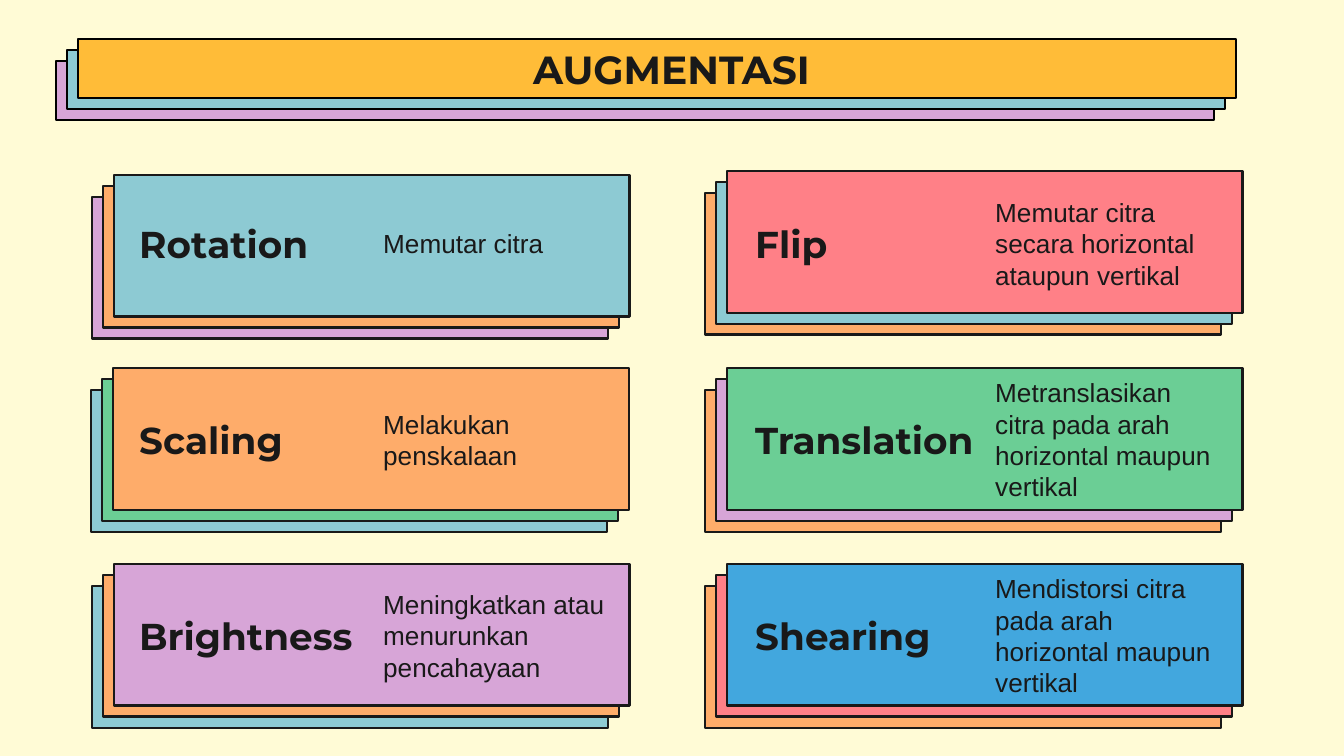
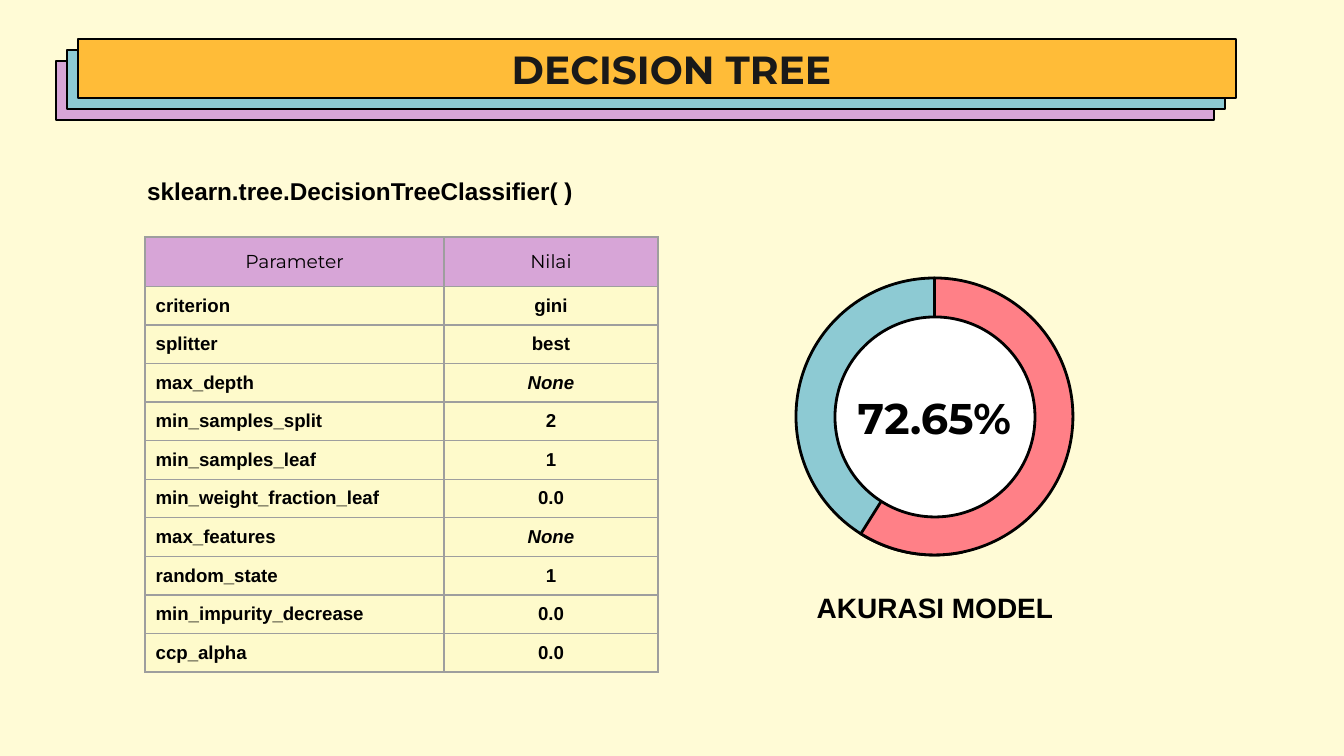
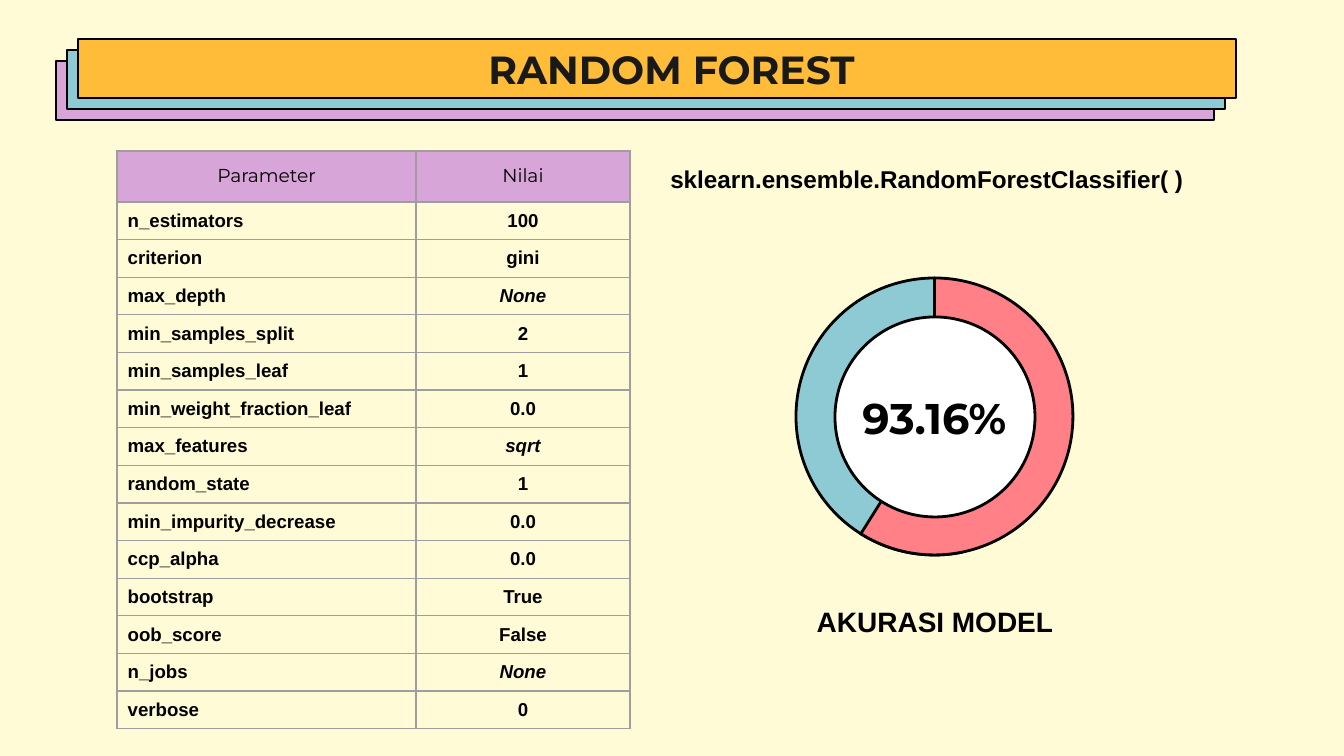
"""Build three slides on image augmentation and two classifier models."""
from lxml import etree
from pptx import Presentation
from pptx.dml.color import RGBColor
from pptx.enum.shapes import MSO_SHAPE
from pptx.enum.text import MSO_ANCHOR, MSO_AUTO_SIZE, PP_ALIGN
from pptx.oxml.ns import qn
from pptx.util import Emu, Pt

RECT, PIE, OVAL = MSO_SHAPE.RECTANGLE, MSO_SHAPE.PIE, MSO_SHAPE.OVAL
LEFT, CENTER, JUSTIFY = PP_ALIGN.LEFT, PP_ALIGN.CENTER, PP_ALIGN.JUSTIFY
TOP, MIDDLE = MSO_ANCHOR.TOP, MSO_ANCHOR.MIDDLE
GROW = MSO_AUTO_SIZE.SHAPE_TO_FIT_TEXT

CREAM = RGBColor(0xFF, 0xFB, 0xD6)
PALE = RGBColor(0xFE, 0xFA, 0xCB)
PURPLE = RGBColor(0xD7, 0xA5, 0xD7)
TEAL = RGBColor(0x8D, 0xCA, 0xD3)
AMBER = RGBColor(0xFF, 0xBC, 0x38)
ORANGE = RGBColor(0xFE, 0xAC, 0x6A)
GREEN = RGBColor(0x6B, 0xCE, 0x95)
RED = RGBColor(0xFF, 0x80, 0x87)
BLUE = RGBColor(0x42, 0xA7, 0xDE)
WHITE = RGBColor(0xFF, 0xFF, 0xFF)
BLACK = RGBColor(0x00, 0x00, 0x00)
INK = RGBColor(0x19, 0x19, 0x19)
GRAY = RGBColor(0x9E, 0x9E, 0x9E)
HEAD, BODY = "Montserrat", "Arial"

PX = 914400 / 134.4
STEP = 11
PAD = Emu(91440)


def add_shape(shapes, kind, box, fill, line=BLACK):
    sp = shapes.add_shape(kind, *[Emu(round(v * PX)) for v in box])
    sp.shadow.inherit = False
    sp.fill.solid()
    sp.fill.fore_color.rgb = fill
    sp.line.color.rgb = line
    sp.line.width = Pt(1.5)
    return sp


def add_text(shapes, box, text, size, font, color=BLACK, bold=True,
             align=LEFT, anchor=MIDDLE, after=None):
    sp = shapes.add_textbox(*[Emu(round(v * PX)) for v in box])
    tf = sp.text_frame
    tf.word_wrap = True
    tf.vertical_anchor = anchor
    if anchor == TOP:
        tf.auto_size = GROW
    tf.margin_left = tf.margin_right = tf.margin_top = tf.margin_bottom = PAD
    tf.text = text
    p = tf.paragraphs[0]
    p.alignment = align
    if after:
        p.space_after = Pt(after)
    f = p.runs[0].font
    f.size, f.name, f.bold = Pt(size), font, bold
    f.color.rgb = color


prs = Presentation()
prs.slide_width = Emu(round(1344 * PX))
prs.slide_height = Emu(round(756 * PX))

for title in ("AUGMENTASI", "DECISION TREE", "RANDOM FOREST"):
    s = prs.slides.add_slide(prs.slide_layouts[6])
    s.background.fill.solid()
    s.background.fill.fore_color.rgb = CREAM
    for depth, color in ((2, PURPLE), (1, TEAL), (0, AMBER)):
        shift = depth * STEP
        add_shape(s.shapes, RECT, (78 - shift, 39 + shift, 1158, 59), color)
    add_text(s.shapes, (78, 39, 1187, 59), title, 21, HEAD, INK, align=CENTER)

cards = [
    ("Rotation", "Memutar citra", 0, 0, 114, 175, 233,
     (PURPLE, ORANGE, TEAL)),
    ("Flip", "Memutar citra secara horizontal ataupun vertikal", 1, 0, 727, 171, 233,
     (ORANGE, TEAL, RED)),
    ("Scaling", "Melakukan penskalaan", 0, 1, 113, 368, 233,
     (TEAL, GREEN, ORANGE)),
    ("Translation", "Metranslasikan citra pada arah horizontal maupun vertikal", 1, 1, 727, 368, 258,
     (ORANGE, PURPLE, GREEN)),
    ("Brightness", "Meningkatkan atau menurunkan pencahayaan", 0, 2, 114, 564, 245,
     (TEAL, ORANGE, PURPLE)),
    ("Shearing", "Mendistorsi citra pada arah horizontal maupun vertikal", 1, 2, 727, 564, 233,
     (ORANGE, RED, BLUE)),
]
s = prs.slides[0]
for name, desc, col, row, x, y, name_w, colors in cards:
    stack = s.shapes.add_group_shape().shapes
    for depth, color in zip((2, 1, 0), colors):
        shift = depth * STEP
        add_shape(stack, RECT, (x - shift, y + shift, 516, 142), color, INK)
    label = s.shapes.add_group_shape().shapes
    text_y = 214 + 196 * row
    add_text(label, (370 + 612 * col, text_y + 2, 258, 55), desc, 14, BODY, INK, False)
    add_text(label, (126 + 616 * col, text_y, name_w, 60), name, 20, HEAD, INK)

tree_params = [
    ("criterion", "gini"), ("splitter", "best"), ("max_depth", "None"),
    ("min_samples_split", "2"), ("min_samples_leaf", "1"),
    ("min_weight_fraction_leaf", "0.0"), ("max_features", "None"),
    ("random_state", "1"), ("min_impurity_decrease", "0.0"), ("ccp_alpha", "0.0"),
]
forest_params = [
    ("n_estimators", "100"), ("criterion", "gini"), ("max_depth", "None"),
    ("min_samples_split", "2"), ("min_samples_leaf", "1"),
    ("min_weight_fraction_leaf", "0.0"), ("max_features", "sqrt"),
    ("random_state", "1"), ("min_impurity_decrease", "0.0"), ("ccp_alpha", "0.0"),
    ("bootstrap", "True"), ("oob_score", "False"), ("n_jobs", "None"), ("verbose", "0"),
]
models = [
    (1, "sklearn.tree.DecisionTreeClassifier( )", (134, 163, 524, 56),
     tree_params, 145, 237, 43, 386, PALE, "72.65%", 577),
    (2, "sklearn.ensemble.RandomForestClassifier( )", (657, 151, 686, 56),
     forest_params, 117, 151, 51, 527, None, "93.16%", 591),
]
for index, call, call_box, params, x, y, head_h, body_h, fill, score, caption_y in models:
    s = prs.slides[index]
    add_text(s.shapes, call_box, call, 13, BODY, anchor=TOP, after=6)

    rows = [("Parameter", "Nilai")] + params
    frame = s.shapes.add_table(len(rows), 2, *[
        Emu(round(v * PX)) for v in (x, y, 513, head_h + body_h)])
    table = frame.table
    table.first_row = table.horz_banding = False
    table.columns[0].width = Emu(round(299 * PX))
    table.columns[1].width = Emu(round(214 * PX))
    for i, row in enumerate(rows):
        height = body_h / len(params) if i else head_h
        table.rows[i].height = Emu(round(height * PX))
        for j, text in enumerate(row):
            cell = table.cell(i, j)
            inset = Emu(19050) if i else PAD
            cell.margin_left = cell.margin_right = inset
            cell.margin_top = cell.margin_bottom = inset
            cell.vertical_anchor = MIDDLE if i else TOP
            color = fill if i else PURPLE
            if color is None:
                cell.fill.background()
            else:
                cell.fill.solid()
                cell.fill.fore_color.rgb = color
            cell.text = text
            p = cell.text_frame.paragraphs[0]
            p.alignment = JUSTIFY if i and j == 0 else CENTER
            if i and j == 0:
                p._p.get_or_add_pPr().set("marL", str(round(8 * PX)))
            f = p.runs[0].font
            f.size, f.name, f.bold = Pt(10), BODY if i else HEAD, i > 0
            f.italic = text in ("None", "sqrt")
            f.color.rgb = BLACK
            tcPr = cell._tc.get_or_add_tcPr()
            for k, side in enumerate(("a:lnL", "a:lnR", "a:lnT", "a:lnB")):
                ln = etree.Element(qn(side), w="9525")
                solid = etree.SubElement(ln, qn("a:solidFill"))
                etree.SubElement(solid, qn("a:srgbClr"), val=str(GRAY))
                tcPr.insert(k, ln)

    ring = s.shapes.add_group_shape().shapes
    for color, start, flip in ((TEAL, 47.1, False), (RED, 34.74, True)):
        sp = add_shape(ring, PIE, (796, 278, 277, 277), color)
        sp.adjustments[0] = start
        sp.adjustments[1] = 162
        if flip:
            sp._element.spPr.find(qn("a:xfrm")).set("flipH", "1")
    add_shape(ring, OVAL, (835, 317, 200, 200), WHITE)
    add_text(s.shapes, (768, caption_y, 334, 60), "AKURASI MODEL", 15, BODY,
             align=CENTER, anchor=TOP, after=6)
    add_text(s.shapes, (833, 378, 203, 79), score, 23, HEAD, align=CENTER, anchor=TOP)

prs.save("out.pptx")
